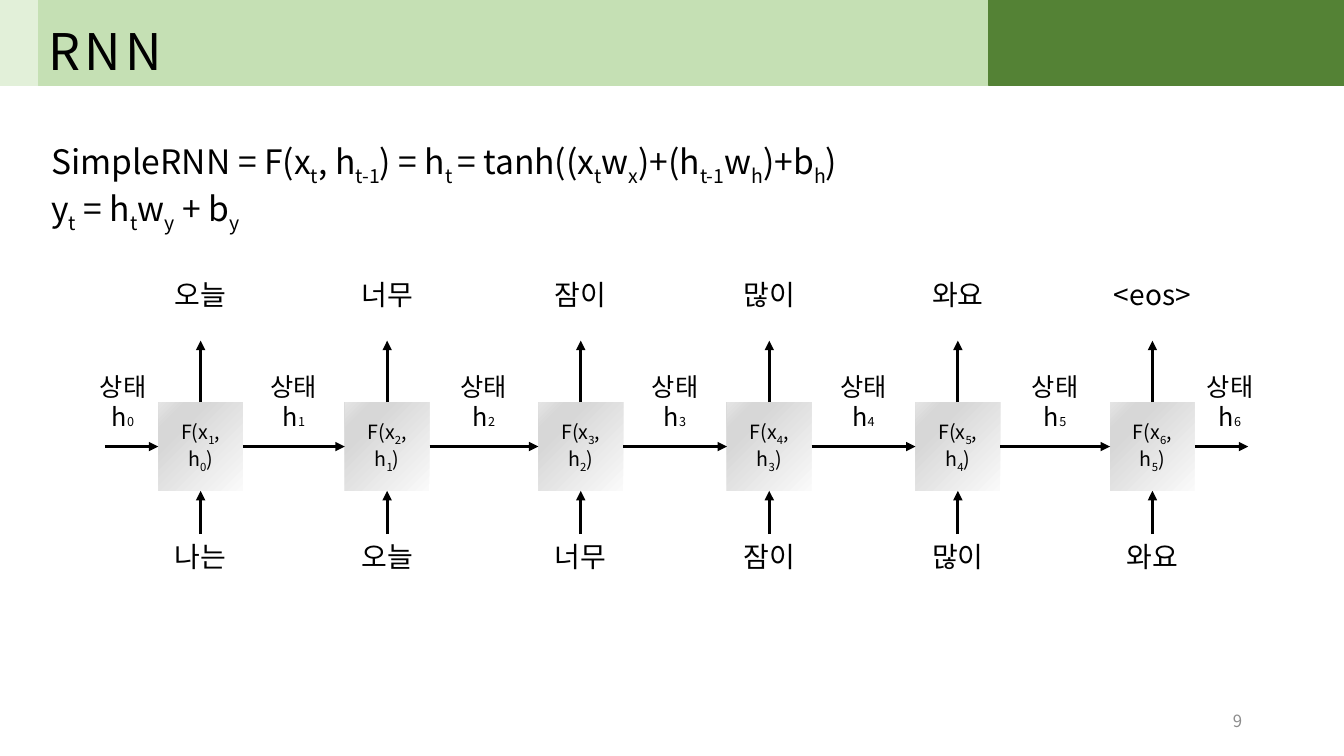
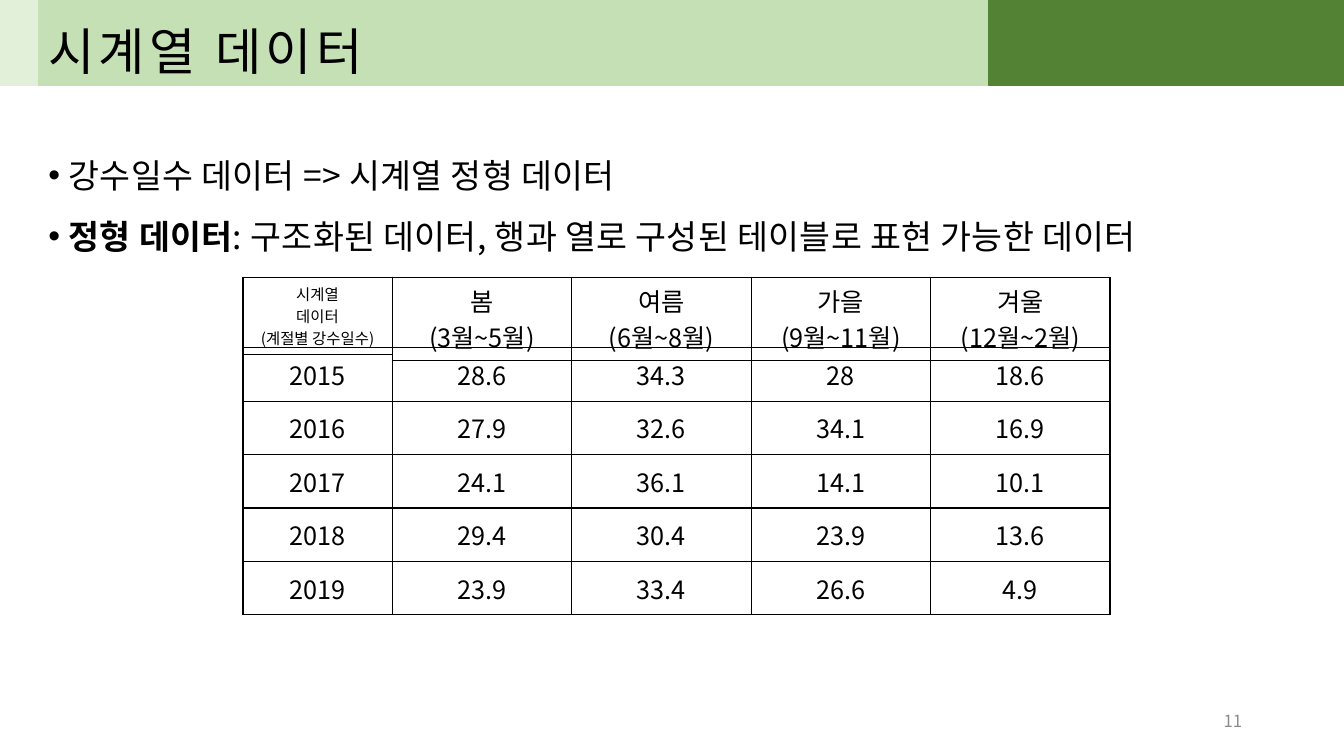
from lxml import etree
from pptx import Presentation
from pptx.dml.color import RGBColor
from pptx.enum.shapes import MSO_CONNECTOR, MSO_SHAPE
from pptx.enum.text import MSO_ANCHOR, MSO_AUTO_SIZE, PP_ALIGN
from pptx.oxml.ns import qn
from pptx.util import Inches, Pt

RECT, STRAIGHT = MSO_SHAPE.RECTANGLE, MSO_CONNECTOR.STRAIGHT
LEFT, CENTER, RIGHT = PP_ALIGN.LEFT, PP_ALIGN.CENTER, PP_ALIGN.RIGHT
TOP, MIDDLE, BOTTOM = MSO_ANCHOR.TOP, MSO_ANCHOR.MIDDLE, MSO_ANCHOR.BOTTOM

FONT = "Noto Sans CJK KR"
BLACK = RGBColor(0x00, 0x00, 0x00)
GRAY = RGBColor(0x8C, 0x8C, 0x8C)
PALE_GREEN = RGBColor(0xE2, 0xF0, 0xD9)
LIGHT_GREEN = RGBColor(0xC5, 0xE0, 0xB4)
DARK_GREEN = RGBColor(0x54, 0x82, 0x35)
NODE_STOPS = [(0, RGBColor(0xFA, 0xFA, 0xFA)), (74, RGBColor(0xD7, 0xD7, 0xD7)),
              (83, RGBColor(0xD7, 0xD7, 0xD7)), (100, RGBColor(0xE4, 0xE4, 0xE4))]

SLIDE_W, SLIDE_H = 13.33, 7.5
BAND_H, EDGE_W, TITLE_W = 0.85, 0.38, 9.43

FORMULA_X, FORMULA_Y, FORMULA_PITCH = 0.41, 1.35, 0.47
FORMULAS = ["SimpleRNN = F(x|t|, h|t-1|) = h|t |= tanh((x|t|w|x|)+(h|t-1|w|h|)+b|h|)",
            "y|t| = h|t|w|y| + b|y|"]

# Grid of the recurrent network
NODE_LEFTS = [1.57, 3.42, 5.34, 7.21, 9.08, 11.01]
NODE_Y, NODE_W, NODE_H = 3.99, 0.84, 0.88
FLOW_Y = NODE_Y + NODE_H / 2
STUB = 0.53
STATE_Y, STATE_W, STATE_OFFSET = 3.63, 0.71, 0.35
OUTPUT_Y, OUTPUT_TIP, INPUT_Y = 2.7, 3.38, 5.3
WORD_W, WORD_H = 1.64, 0.44
WORDS = ["나는", "오늘", "너무", "잠이", "많이", "와요", "<eos>"]

# Grid of the rainfall tables
TABLE_X, TABLE_Y = 2.41, 2.75
YEAR_W, SEASON_W, HEAD_H, ROW_H = 1.48, 1.78, 0.7, 0.53
CORNER = "시계열\n데이터\n(계절별 강수일수)"
SEASONS = ["봄\n(3월~5월)", "여름\n(6월~8월)", "가을\n(9월~11월)", "겨울\n(12월~2월)"]
RAIN_DAYS = {
    "2015": ["28.6", "34.3", "28", "18.6"],
    "2016": ["27.9", "32.6", "34.1", "16.9"],
    "2017": ["24.1", "36.1", "14.1", "10.1"],
    "2018": ["29.4", "30.4", "23.9", "13.6"],
    "2019": ["23.9", "33.4", "26.6", "4.9"],
}


def inches(*values):
    return [Inches(v) for v in values]


def add_run(p, text, size, color=BLACK, bold=False, **attributes):
    r = p.add_run()
    r.text = text
    for name, value in {"name": FONT, "size": Pt(size), "bold": bold}.items():
        setattr(r.font, name, value)
    r.font.color.rgb = color
    rPr = r._r.get_or_add_rPr()
    etree.SubElement(rPr, qn("a:ea"), typeface=FONT)
    for name, value in attributes.items():
        rPr.set(name, value)


def write(tf, lines, fmt, marked=None, align=LEFT, **paragraph):
    """Fill a frame; parts between | marks take the changes in marked."""
    for i, line in enumerate(lines):
        p = tf.paragraphs[0] if i == 0 else tf.add_paragraph()
        for name, value in {"alignment": align, **paragraph}.items():
            setattr(p, name, value)
        for j, part in enumerate(line.split("|")):
            if part:
                add_run(p, part, **{**fmt, **(marked or {} if j % 2 else {})})


def set_frame(tf, anchor, wrap=True):
    for name, value in {"word_wrap": wrap, "auto_size": MSO_AUTO_SIZE.NONE,
                        "vertical_anchor": anchor}.items():
        setattr(tf, name, value)


def place(shape, *box):
    for name, value in zip(("left", "top", "width", "height"), inches(*box)):
        setattr(shape, name, value)


def paint(shape, color):
    shape.fill.solid()
    shape.fill.fore_color.rgb = color
    shape.line.color.rgb = color
    shape.line.width = Pt(1)


def add_text(s, box, lines, fmt, anchor=TOP, wrap=True, **kwargs):
    tf = s.shapes.add_textbox(*inches(*box)).text_frame
    set_frame(tf, anchor, wrap)
    write(tf, lines, fmt, **kwargs)


def add_rect(s, *box):
    sp = s.shapes.add_shape(RECT, *inches(*box))
    sp.shadow.inherit = False
    return sp


def add_arrow(s, x1, y1, x2, y2):
    arrow = s.shapes.add_connector(STRAIGHT, *inches(x1, y1, x2, y2))
    arrow.line.color.rgb = BLACK
    arrow.line.width = Pt(2.25)
    etree.SubElement(arrow.line._get_or_add_ln(), qn("a:tailEnd"), type="triangle")
    etree.SubElement(arrow._element.spPr, qn("a:effectLst"))
    return arrow


def add_framed_slide(prs, layout, title, number):
    """Add a slide with the green header bands, its title and page number."""
    s = prs.slides.add_slide(prs.slide_layouts[layout])
    edge = add_rect(s, 0, 0, EDGE_W, BAND_H)
    paint(edge, PALE_GREEN)
    band = s.shapes.title
    edge._element.addnext(band._element)
    place(band, EDGE_W, 0, TITLE_W, BAND_H)
    paint(band, LIGHT_GREEN)
    set_frame(band.text_frame, BOTTOM)
    write(band.text_frame, [title], {"size": 36, "spc": "300"})
    right = EDGE_W + TITLE_W
    paint(add_rect(s, right, 0, SLIDE_W - right, BAND_H), DARK_GREEN)
    add_text(s, (9.42, 6.95, 3, 0.4), [str(number)], {"size": 12, "color": GRAY},
             anchor=MIDDLE, align=RIGHT)
    return s


def add_formulas(s):
    for i, formula in enumerate(FORMULAS):
        add_text(s, (FORMULA_X, FORMULA_Y + i * FORMULA_PITCH, 8.68, 0.5), [formula],
                 {"size": 24}, marked={"baseline": "-25000"})


def add_node(s, x, step):
    node = add_rect(s, x, NODE_Y, NODE_W, NODE_H)
    node.line.fill.background()
    node.fill.gradient()
    node.fill.gradient_angle = 135
    stops = node._element.spPr.find(qn("a:gradFill")).find(qn("a:gsLst"))
    for stop in list(stops):
        stops.remove(stop)
    for percent, color in NODE_STOPS:
        gs = etree.SubElement(stops, qn("a:gs"), pos=str(percent * 1000))
        etree.SubElement(gs, qn("a:srgbClr"), val=str(color))
    set_frame(node.text_frame, MIDDLE)
    write(node.text_frame, [f"F(x|{step}|, h|{step - 1}|)"], {"size": 14},
          {"baseline": "-25000"}, CENTER)
    return node


def add_word(s, center, top, word):
    add_text(s, (center - WORD_W / 2, top, WORD_W, WORD_H), [word], {"size": 20},
             align=CENTER)


def add_state(s, center, step):
    add_text(s, (center - STATE_W / 2, STATE_Y, STATE_W, STATE_W),
             ["상태", f"h|{step}|"], {"size": 18}, wrap=False, marked={"size": 9},
             align=CENTER)


def add_network(s):
    steps = len(NODE_LEFTS)
    nodes = [add_node(s, x, i + 1) for i, x in enumerate(NODE_LEFTS)]
    for i, x in enumerate(NODE_LEFTS):
        center = x + NODE_W / 2
        add_word(s, center, OUTPUT_Y, WORDS[i + 1])
        add_word(s, center, INPUT_Y, WORDS[i])
        add_arrow(s, center, NODE_Y, center, OUTPUT_TIP)
        add_arrow(s, center, INPUT_Y, center, NODE_Y + NODE_H)
    for i in range(1, steps):
        start, end = NODE_LEFTS[i - 1] + NODE_W, NODE_LEFTS[i]
        link = add_arrow(s, start, FLOW_Y, end, FLOW_Y)
        link.begin_connect(nodes[i - 1], 3)
        link.end_connect(nodes[i], 1)
        add_state(s, (start + end) / 2, i)
    first, last = NODE_LEFTS[0], NODE_LEFTS[-1] + NODE_W
    add_arrow(s, first - STUB, FLOW_Y, first, FLOW_Y)
    add_state(s, first - STATE_OFFSET, 0)
    add_arrow(s, last, FLOW_Y, last + STUB, FLOW_Y)
    add_state(s, last + STATE_OFFSET, steps)


def set_borders(cell):
    tcPr = cell._tc.get_or_add_tcPr()
    for i, side in enumerate(("lnL", "lnR", "lnT", "lnB")):
        ln = etree.Element(qn(f"a:{side}"), w=str(Pt(1)))
        fill = etree.SubElement(ln, qn("a:solidFill"))
        etree.SubElement(fill, qn("a:srgbClr"), val=str(BLACK))
        tcPr.insert(i, ln)


def add_grid(s, x, y, col_w, row_h, rows, size=18, frame_h=None):
    """Add a bordered table; frame_h is its height if not that of its rows."""
    height = frame_h or row_h * len(rows)
    frame = s.shapes.add_table(len(rows), len(rows[0]),
                               *inches(x, y, col_w * len(rows[0]), height))
    table = frame.table
    table.first_row = table.horz_banding = False
    for row, values in zip(table.rows, rows):
        row.height = Inches(row_h)
        for cell, value in zip(row.cells, values):
            cell.fill.background()
            set_borders(cell)
            cell.vertical_anchor = MIDDLE
            write(cell.text_frame, value.split("\n"), {"size": size}, align=CENTER)
    frame.height = Inches(height)


def add_rain_tables(s):
    season_x, data_y = TABLE_X + YEAR_W, TABLE_Y + HEAD_H
    add_grid(s, season_x, data_y, SEASON_W, ROW_H, list(RAIN_DAYS.values()))
    add_grid(s, season_x, TABLE_Y, SEASON_W, ROW_H, [SEASONS], frame_h=HEAD_H)
    add_grid(s, TABLE_X, data_y, YEAR_W, ROW_H, [[year] for year in RAIN_DAYS])
    add_grid(s, TABLE_X, TABLE_Y, YEAR_W, HEAD_H, [[CORNER]], size=11)


def add_bullets(s, lines):
    body = s.placeholders[1]
    place(body, EDGE_W, 1.29, 12.18, 1.23)
    set_frame(body.text_frame, TOP)
    write(body.text_frame, lines, {"size": 24, "spc": "25"}, {"bold": True},
          line_spacing=1.5, space_before=Pt(0))
    for p in body.text_frame.paragraphs:
        pPr = p._p.get_or_add_pPr()
        pPr.set("marL", str(Inches(0.2)))
        pPr.set("indent", str(Inches(-0.2)))


def main():
    prs = Presentation()
    prs.slide_width, prs.slide_height = inches(SLIDE_W, SLIDE_H)

    s = add_framed_slide(prs, 5, "RNN", 9)
    add_formulas(s)
    add_network(s)

    s = add_framed_slide(prs, 1, "시계열 데이터", 11)
    add_bullets(s, ["강수일수 데이터 => 시계열 정형 데이터",
                    "|정형 데이터|: 구조화된 데이터, 행과 열로 구성된 테이블로 표현 가능한 데이터"])
    add_rain_tables(s)

    prs.save("out.pptx")


if __name__ == "__main__":
    main()
